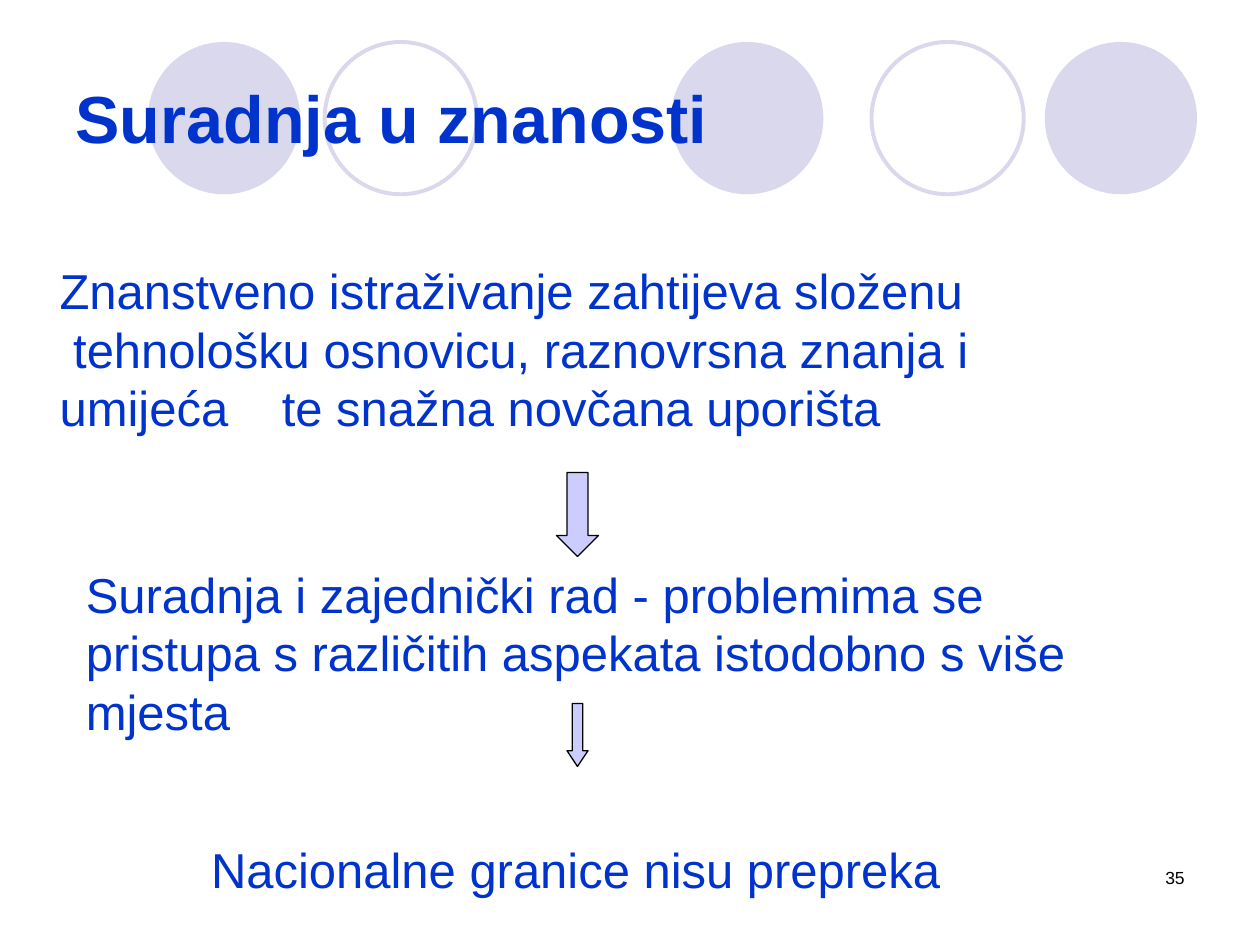
from dataclasses import dataclass

from lxml.etree import SubElement
from pptx import Presentation
from pptx.dml.color import RGBColor
from pptx.enum.shapes import MSO_SHAPE as Shape
from pptx.enum.text import MSO_ANCHOR as Anchor, MSO_AUTO_SIZE as Fit, PP_ALIGN as Align
from pptx.oxml.ns import qn
from pptx.util import Pt

BLUE = RGBColor(0x00, 0x33, 0xCC)
BLACK = RGBColor(0x00, 0x00, 0x00)
LILAC = RGBColor(0xD9, 0xD8, 0xEC)
VIOLET = RGBColor(0xCC, 0xCC, 0xFF)
FONT = "Arial"


@dataclass
class Circle:
    left: float
    solid: bool


@dataclass
class Arrow:
    left: float
    top: float
    width: float
    height: float
    head: float


@dataclass
class Label:
    text: str
    left: float
    top: float
    width: float
    height: float
    size: float = 28
    color: RGBColor = BLUE
    align: Align = Align.LEFT
    pitch: float | None = None
    tab: float | None = None
    glow: bool = False


CIRCLES = [
    Circle(84.5, True),
    Circle(185.5, False),
    Circle(383.5, True),
    Circle(498, False),
    Circle(597, True),
]
ARROWS = [
    Arrow(318, 270, 24, 48, 0.5),
    Arrow(324, 402, 12, 36, 0.75),
]
LABELS = [
    Label("Znanstveno istraživanje zahtijeva složenu\v tehnološku osnovicu, "
          "raznovrsna znanja i umijeća\tte snažna novčana uporišta",
          27, 145.5, 585, 324, pitch=33.5, tab=127),
    Label("Suradnja i zajednički rad - problemima se pristupa s različitih "
          "aspekata istodobno s više mjesta",
          42, 319, 612, 108, pitch=33.5),
    Label("Nacionalne granice nisu prepreka", 113.5, 476, 516, 41, glow=True),
    Label("35", 516, 492, 168, 36, size=10, color=BLACK, align=Align.RIGHT),
]


def draw_circle(slide, item: Circle) -> None:
    oval = slide.shapes.add_shape(Shape.OVAL, Pt(item.left), Pt(24), Pt(87), Pt(87))
    oval.shadow.inherit = False
    if item.solid:
        oval.fill.solid()
        oval.fill.fore_color.rgb = LILAC
        oval.line.fill.background()
    else:
        oval.fill.background()
        oval.line.color.rgb = LILAC
        oval.line.width = Pt(2.25)


def draw_arrow(slide, item: Arrow) -> None:
    arrow = slide.shapes.add_shape(Shape.DOWN_ARROW, Pt(item.left), Pt(item.top),
                                   Pt(item.width), Pt(item.height))
    arrow.shadow.inherit = False
    arrow.adjustments[0] = 0.5
    arrow.adjustments[1] = item.head
    arrow.fill.solid()
    arrow.fill.fore_color.rgb = VIOLET
    arrow.line.color.rgb = BLACK
    arrow.line.width = Pt(0.75)


def set_font(para, size: float, color: RGBColor, bold: bool = False) -> None:
    font = para.font
    font.name, font.size, font.bold = FONT, Pt(size), bold
    font.color.rgb = color


def add_tab(para, pos: float) -> None:
    tabs = SubElement(para._p.get_or_add_pPr(), qn("a:tabLst"))
    SubElement(tabs, qn("a:tab"), pos=str(Pt(pos)), algn="l")


def add_shadow(run) -> None:
    effects = SubElement(run._r.get_or_add_rPr(), qn("a:effectLst"))
    shade = SubElement(effects, qn("a:outerShdw"), blurRad="38100",
                       dist="38100", dir="2700000", algn="tl")
    SubElement(shade, qn("a:srgbClr"), val="808080")


def draw_label(slide, item: Label) -> None:
    box = slide.shapes.add_textbox(Pt(item.left), Pt(item.top),
                                   Pt(item.width), Pt(item.height))
    frame = box.text_frame
    frame.word_wrap = True
    para = frame.paragraphs[0]
    para.text = item.text
    para.alignment = item.align
    if item.pitch:
        para.line_spacing = Pt(item.pitch)
    if item.tab:
        add_tab(para, item.tab)
    set_font(para, item.size, item.color)
    if item.glow:
        add_shadow(para.runs[0])


def draw_title(slide, text: str) -> None:
    title = slide.shapes.title
    title.left, title.top, title.width, title.height = Pt(36), Pt(21.6), Pt(648), Pt(90)
    frame = title.text_frame
    frame.auto_size = Fit.NONE
    frame.vertical_anchor = Anchor.MIDDLE
    para = frame.paragraphs[0]
    para.text = text
    para.alignment = Align.LEFT
    set_font(para, 38, BLUE, bold=True)
    # Bring the title in front of the circles
    slide.shapes._spTree.append(title._element)


def main() -> None:
    deck = Presentation()
    deck.slide_width, deck.slide_height = Pt(720), Pt(540)
    slide = deck.slides.add_slide(deck.slide_layouts[5])

    # Header
    for circle in CIRCLES:
        draw_circle(slide, circle)
    draw_title(slide, "Suradnja u znanosti")

    # Statements and the arrows between them
    for label in LABELS:
        draw_label(slide, label)
    for arrow in ARROWS:
        draw_arrow(slide, arrow)

    deck.save("out.pptx")


if __name__ == "__main__":
    main()
